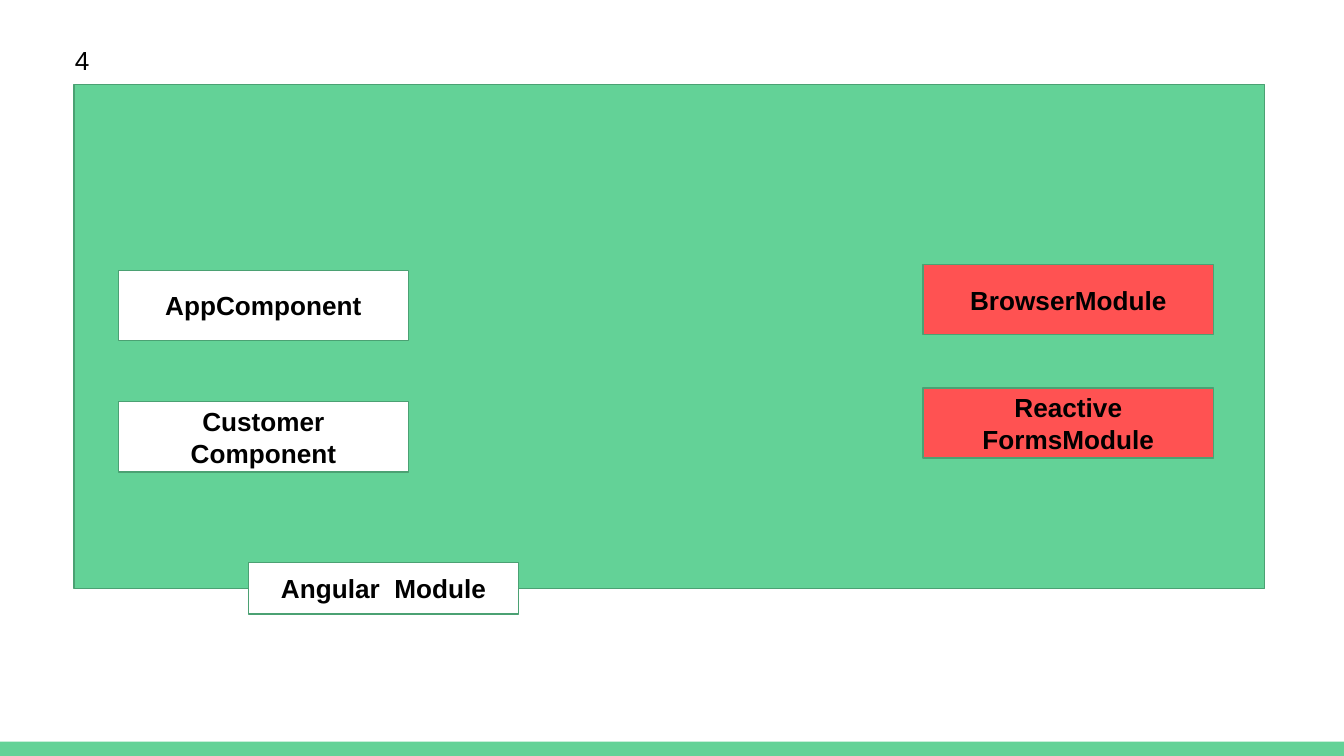
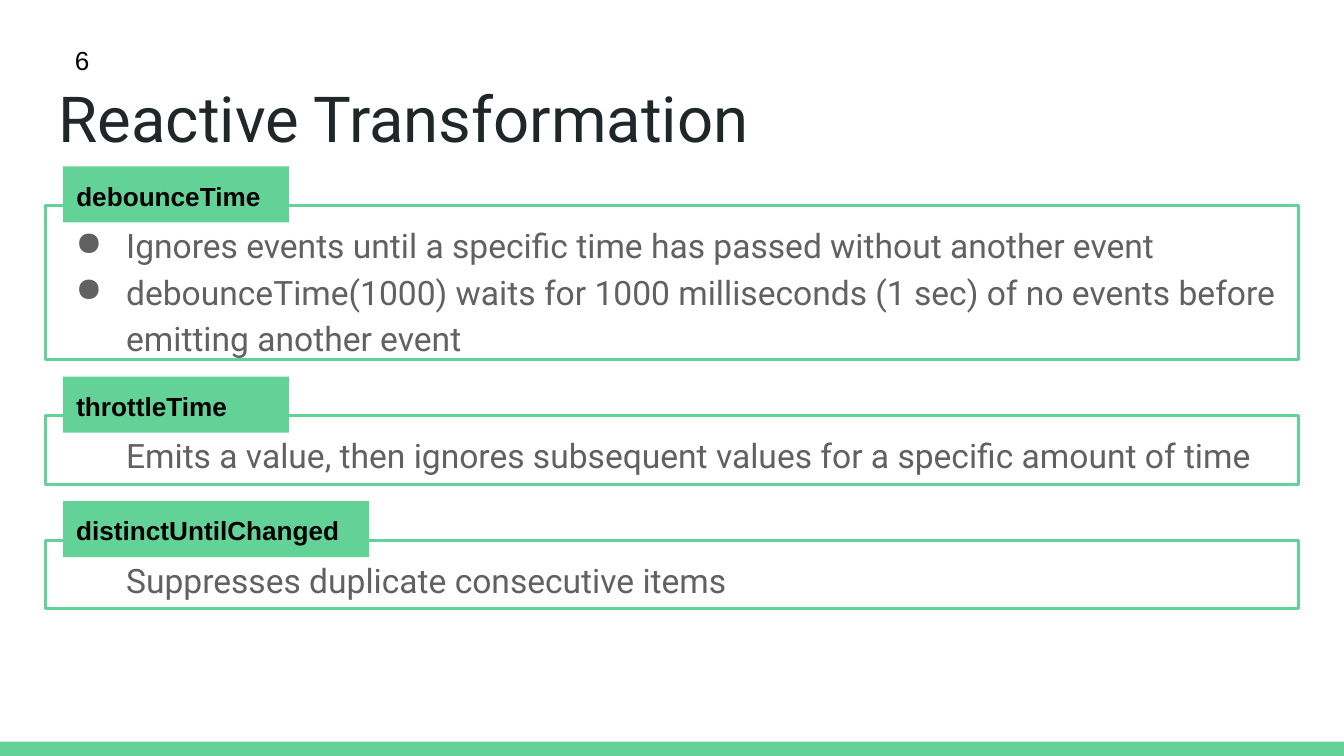
from lxml import etree
from pptx import Presentation
from pptx.dml.color import RGBColor
from pptx.enum.shapes import MSO_SHAPE
from pptx.enum.text import MSO_ANCHOR, PP_ALIGN
from pptx.oxml.ns import qn
from pptx.util import Pt

RECTANGLE = MSO_SHAPE.RECTANGLE
TOP, MIDDLE = MSO_ANCHOR.TOP, MSO_ANCHOR.MIDDLE
LEFT, CENTER = PP_ALIGN.LEFT, PP_ALIGN.CENTER

GREEN, DARK_GREEN, RED = "63D297", "4BA173", "FF5252"
WHITE, BLACK, INK, GRAY = "FFFFFF", "000000", "202729", "616161"

WIDTH, HEIGHT = 720, 405
BAND_HEIGHT = 7.7
INSET = 7.2

MODULE_FRAME = (39.6, 45.2, 638, 270.2)
BOX_SIZE = (155.5, 37.6)
MODULE_BOXES = [
    ("AppComponent", (63.4, 144.8, *BOX_SIZE), WHITE),
    ("Angular  Module", (133.2, 301.5, 144.6, 27.5), WHITE),
    ("BrowserModule", (494.6, 141.8, *BOX_SIZE), RED),
    ("Reactive\nFormsModule", (494.6, 207.8, *BOX_SIZE), RED),
    ("Customer\nComponent", (63.4, 215.3, *BOX_SIZE), WHITE),
]

TITLE = "Reactive Transformation"
OPERATORS = [
    ("debounceTime", 121, 82.6, [
        "Ignores events until a specific time has passed without another event",
        "debounceTime(1000) waits for 1000 milliseconds (1 sec) of no events before "
        "emitting another event",
    ]),
    ("throttleTime", 121, 36.7, [
        "Emits a value, then ignores subsequent values for a specific amount of time",
    ]),
    ("distinctUntilChanged", 164, 36.7, ["Suppresses duplicate consecutive items"]),
]
PANEL_LEFT, PANEL_TOP, PANEL_WIDTH, PANEL_GAP = 24.5, 110.2, 671, 30
TAB_LEFT, TAB_RISE, TAB_HEIGHT = 33.8, 21, 30


def color(value):
    return RGBColor.from_string(value)


def place(box):
    return [Pt(length) for length in box]


def write(shape, text, size, font_color, font="Arial", bold=False, align=LEFT, anchor=TOP):
    frame = shape.text_frame
    frame.word_wrap = True
    frame.vertical_anchor = anchor
    frame.margin_left = frame.margin_right = Pt(INSET)
    frame.margin_top = frame.margin_bottom = Pt(INSET)
    frame.text = text
    for paragraph in frame.paragraphs:
        paragraph.alignment = align
        for run in paragraph.runs:
            run.font.name = font
            run.font.size = Pt(size)
            run.font.bold = bold
            run.font.color.rgb = color(font_color)


def add_rectangle(slide, box, fill=None, line=None, line_width=0.75):
    shape = slide.shapes.add_shape(RECTANGLE, *place(box))
    shape.shadow.inherit = False
    if fill:
        shape.fill.solid()
        shape.fill.fore_color.rgb = color(fill)
    else:
        shape.fill.background()
    if line:
        shape.line.color.rgb = color(line)
        shape.line.width = Pt(line_width)
    else:
        shape.line.fill.background()
    return shape


def add_text(slide, box, text, size, font_color, font="Arial"):
    write(slide.shapes.add_textbox(*place(box)), text, size, font_color, font)


def add_slide(presentation):
    slide = presentation.slides.add_slide(presentation.slide_layouts[6])
    slide.background.fill.solid()
    slide.background.fill.fore_color.rgb = color(WHITE)
    add_rectangle(slide, (0, HEIGHT - BAND_HEIGHT, WIDTH, BAND_HEIGHT), GREEN)
    return slide


def add_page_number(slide, number):
    add_text(slide, (33, 16.6, 404, 46.8), number, 14, BLACK)


def indent(paragraph, bulleted):
    properties = paragraph._p.get_or_add_pPr()
    properties.set("marL", str(Pt(36)))
    properties.set("indent", str(Pt(-27) if bulleted else 0))
    paragraph.line_spacing = 1.15
    if bulleted:
        bullet_color = etree.SubElement(properties, qn("a:buClr"))
        etree.SubElement(bullet_color, qn("a:srgbClr"), val=GRAY)
        etree.SubElement(properties, qn("a:buChar"), char="●")
    else:
        paragraph.space_after = Pt(16)


def build_module_slide(presentation):
    slide = add_slide(presentation)
    add_rectangle(slide, MODULE_FRAME, GREEN, DARK_GREEN)
    for text, box, fill in MODULE_BOXES:
        shape = add_rectangle(slide, box, fill, DARK_GREEN)
        write(shape, text, 14, BLACK, bold=True, align=CENTER, anchor=MIDDLE)
    add_page_number(slide, "4")


def build_operator_slide(presentation):
    slide = add_slide(presentation)
    add_text(slide, (PANEL_LEFT, 35.3, PANEL_WIDTH, 45.4), TITLE, 34, INK, "Roboto")
    add_page_number(slide, "6")
    top = PANEL_TOP
    for name, tab_width, height, lines in OPERATORS:
        panel = add_rectangle(slide, (PANEL_LEFT, top, PANEL_WIDTH, height), line=GREEN, line_width=1.5)
        write(panel, "\n".join(lines), 18, GRAY, "Roboto")
        for paragraph in panel.text_frame.paragraphs:
            indent(paragraph, bulleted=len(lines) > 1)
        tab = add_rectangle(slide, (TAB_LEFT, top - TAB_RISE, tab_width, TAB_HEIGHT), GREEN)
        write(tab, name, 14, BLACK, bold=True)
        top += height + PANEL_GAP


def main():
    presentation = Presentation()
    presentation.slide_width = Pt(WIDTH)
    presentation.slide_height = Pt(HEIGHT)
    build_module_slide(presentation)
    build_operator_slide(presentation)
    presentation.save("out.pptx")


if __name__ == "__main__":
    main()
